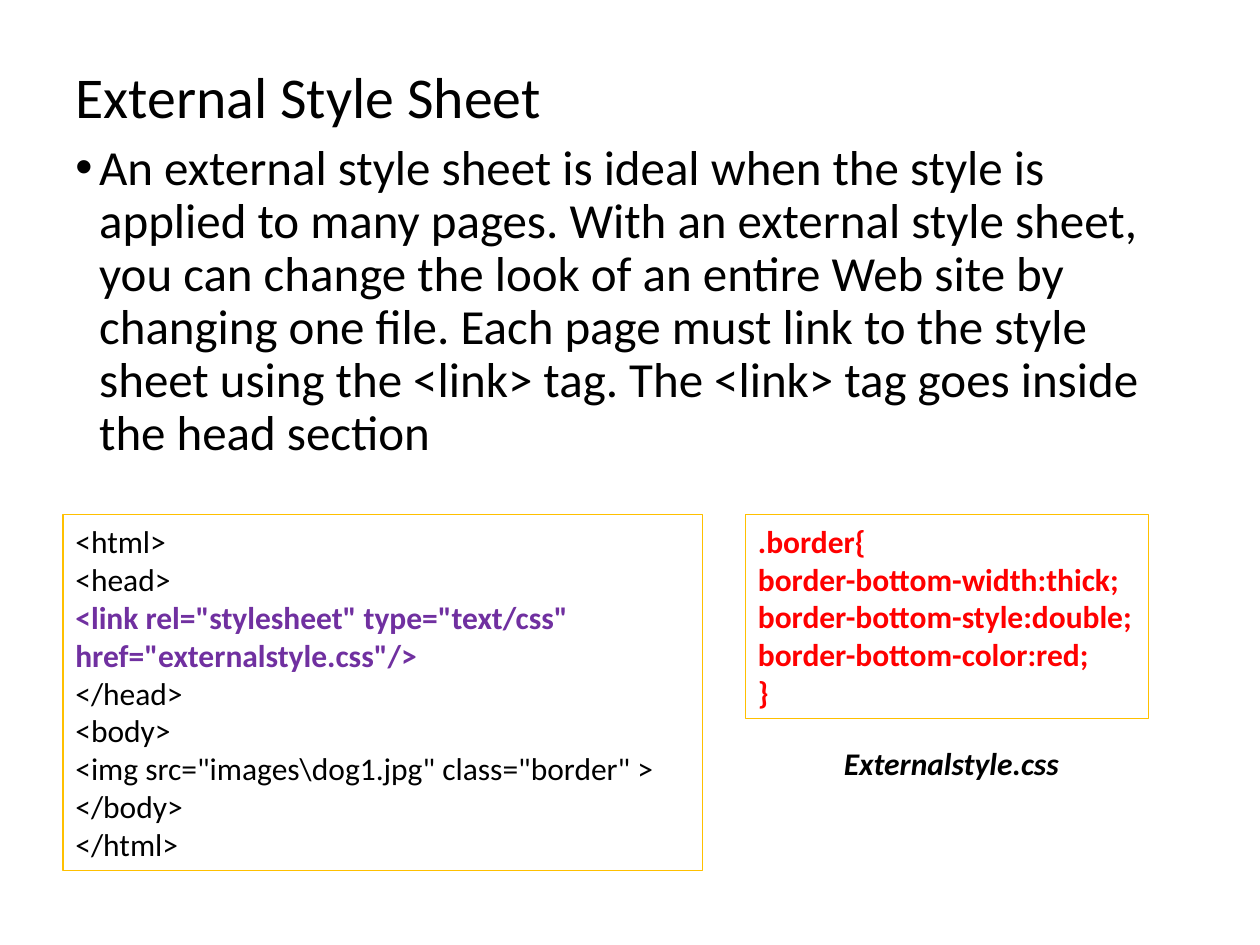
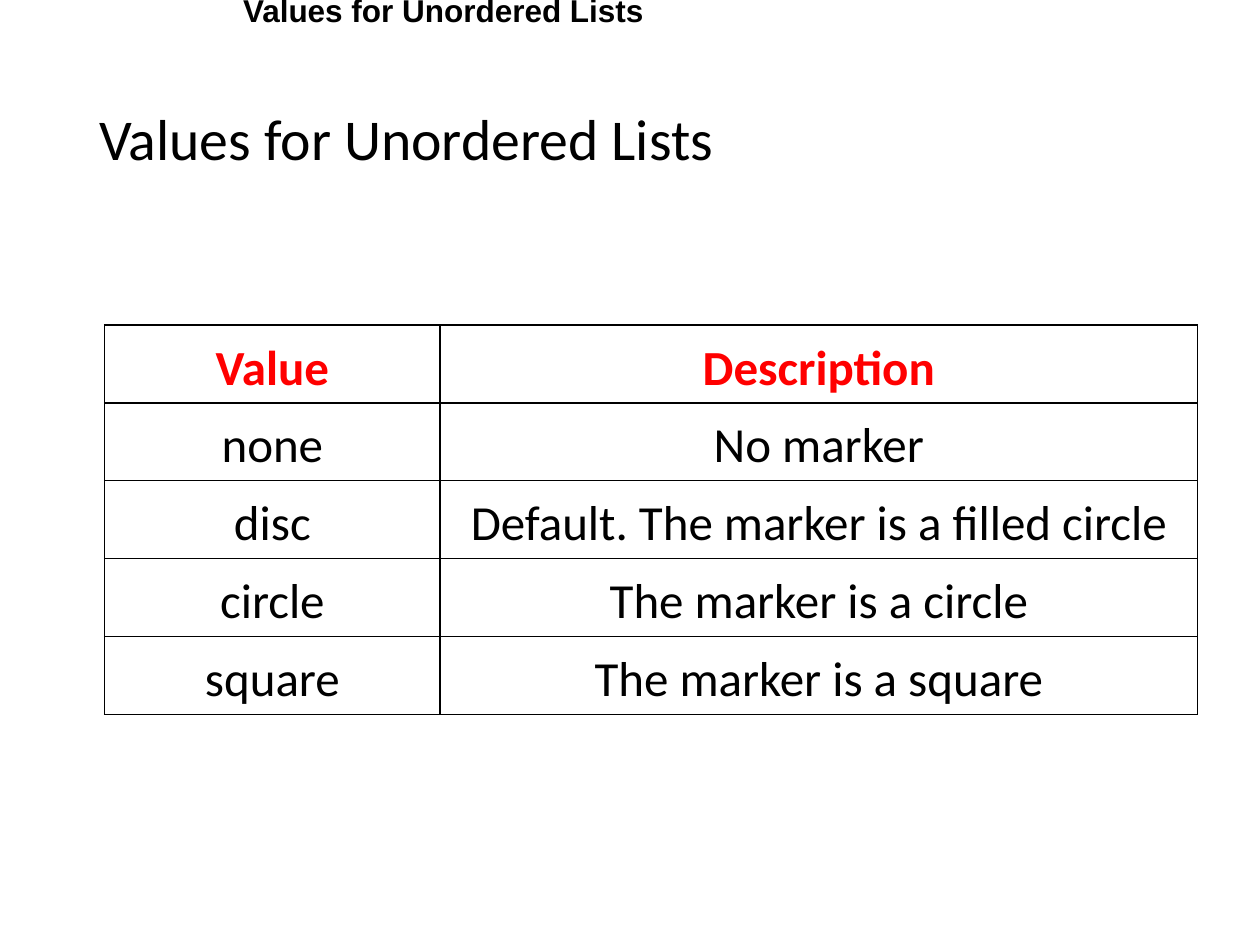
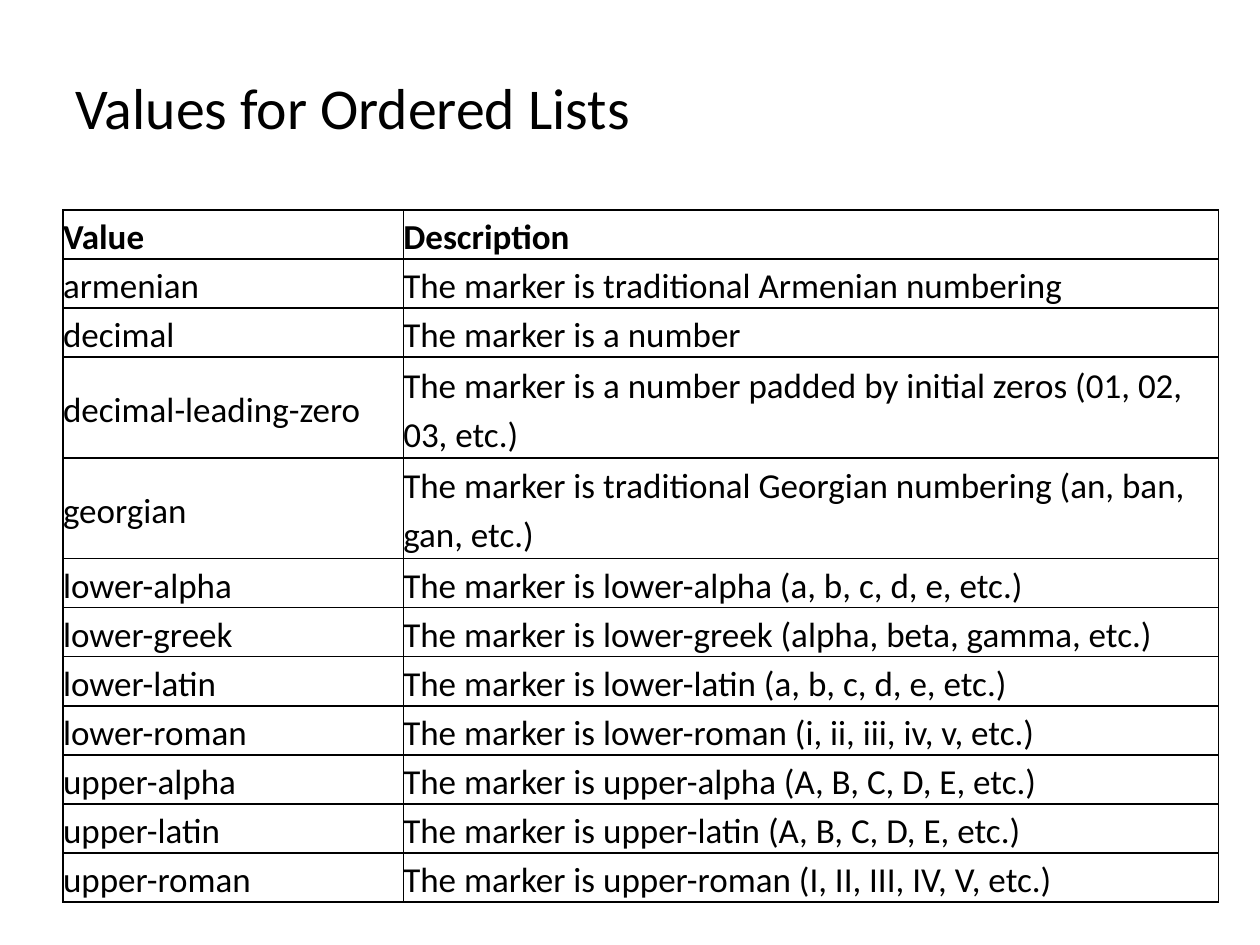
from lxml.etree import SubElement
from pptx import Presentation
from pptx.dml.color import RGBColor
from pptx.enum.shapes import MSO_SHAPE
from pptx.enum.text import MSO_ANCHOR, PP_ALIGN
from pptx.oxml.ns import qn
from pptx.util import Cm, Pt

BLACK, RED, PURPLE, GOLD = "000000", "FF0000", "7030A0", "FFC000"
FONT = "Calibri"

INTRO = (
    "An external style sheet is ideal when the style is applied to many pages. "
    "With an external style sheet, you can change the look of an entire Web site "
    "by changing one file. Each page must link to the style sheet using the "
    "<link> tag. The <link> tag goes inside the head section"
)
LINK = '<link rel="stylesheet" type="text/css" href="externalstyle.css"/>'
HTML = [
    "<html>",
    "<head>",
    LINK,
    "</head>",
    "<body>",
    '<img src="images\\dog1.jpg" class="border" >',
    "</body>",
    "</html>",
]
CSS = [
    ".border{",
    "border-bottom-width:thick;",
    "border-bottom-style:double;",
    "border-bottom-color:red;",
    "}",
]
HEAD = ("Value", "Description")
BULLETS = [
    HEAD,
    ("none", "No marker"),
    ("disc", "Default. The marker is a filled circle"),
    ("circle", "The marker is a circle"),
    ("square", "The marker is a square"),
]
NUMBERS = [
    HEAD,
    ("armenian", "The marker is traditional Armenian numbering"),
    ("decimal", "The marker is a number"),
    ("decimal-leading-zero",
     "The marker is a number padded by initial zeros (01, 02, 03, etc.)"),
    ("georgian",
     "The marker is traditional Georgian numbering (an, ban, gan, etc.)"),
    ("lower-alpha", "The marker is lower-alpha (a, b, c, d, e, etc.)"),
    ("lower-greek", "The marker is lower-greek (alpha, beta, gamma, etc.)"),
    ("lower-latin", "The marker is lower-latin (a, b, c, d, e, etc.)"),
    ("lower-roman", "The marker is lower-roman (i, ii, iii, iv, v, etc.)"),
    ("upper-alpha", "The marker is upper-alpha (A, B, C, D, E, etc.)"),
    ("upper-latin", "The marker is upper-latin (A, B, C, D, E, etc.)"),
    ("upper-roman", "The marker is upper-roman (I, II, III, IV, V, etc.)"),
]


def paint(part, color):
    """Colour a font, or a fill that is already solid."""
    target = part.color if hasattr(part, "color") else part.fore_color
    target.rgb = RGBColor.from_string(color)


def style(para, size, color=BLACK, bold=False, italic=False, face=FONT):
    font = para.font
    font.name, font.size = face, Pt(size)
    font.bold, font.italic = bold, italic
    paint(font, color)


def add_text(slide, box, text, size, anchor=MSO_ANCHOR.TOP, **look):
    """Add a one-paragraph text box and return the paragraph."""
    frame = slide.shapes.add_textbox(*map(Cm, box)).text_frame
    frame.word_wrap = True
    frame.vertical_anchor = anchor
    para = frame.paragraphs[0]
    para.text = text
    style(para, size, **look)
    return para


def add_title(slide, box, text):
    para = add_text(slide, box, text, 33, MSO_ANCHOR.MIDDLE)
    para.line_spacing = 0.9


def add_bullet(slide, box, text):
    para = add_text(slide, box, text, 28)
    para.line_spacing = 0.9
    para.space_before = Pt(7.5)
    props = para._p.get_or_add_pPr()
    props.set("marL", str(Cm(0.48)))
    props.set("indent", str(-Cm(0.48)))
    SubElement(props, qn("a:buFont"), typeface="Arial")
    SubElement(props, qn("a:buChar"), char="•")


def add_code(slide, box, lines, color=BLACK, bold=False, wrap=True):
    """Add a framed listing in which the link tag stands out."""
    shape = slide.shapes.add_shape(MSO_SHAPE.RECTANGLE, *map(Cm, box))
    shape.shadow.inherit = False
    shape.fill.background()
    shape.line.width = Pt(0.75)
    paint(shape.line, GOLD)
    frame = shape.text_frame
    frame.word_wrap = wrap
    frame.text = "\n".join(lines)
    for para in frame.paragraphs:
        para.alignment = PP_ALIGN.LEFT
        if para.text == LINK:
            style(para, 18, PURPLE, True)
        else:
            style(para, 18, color, bold)


def add_border(cell):
    props = cell._tc.get_or_add_tcPr()
    for side in ("lnL", "lnR", "lnT", "lnB"):
        line = SubElement(props, qn(f"a:{side}"), w=str(Pt(1)))
        fill = SubElement(line, qn("a:solidFill"))
        SubElement(fill, qn("a:srgbClr"), val=BLACK)


def add_grid(slide, left, top, rows, widths, heights, size, align, head):
    """Add a ruled table; head is the colour of its first row."""
    table = slide.shapes.add_table(
        len(rows), len(widths), Cm(left), Cm(top),
        Cm(sum(widths)), Cm(sum(heights))).table
    table.first_row = table.horz_banding = False
    for column, width in zip(table.columns, widths):
        column.width = Cm(width)
    for r, (texts, height) in enumerate(zip(rows, heights)):
        table.rows[r].height = Cm(height)
        for c, text in enumerate(texts):
            cell = table.cell(r, c)
            cell.margin_left = cell.margin_right = 0
            cell.margin_top = cell.margin_bottom = 0
            cell.vertical_anchor = MSO_ANCHOR.MIDDLE
            add_border(cell)
            cell.fill.background()
            cell.text = text
            para = cell.text_frame.paragraphs[0]
            para.alignment = align
            para.line_spacing = 1.15
            style(para, size, BLACK if r else head, bold=r == 0)


def draw_sheet(slide):
    add_title(slide, (1.27, 0.43, 22.86, 3.18), "External Style Sheet")
    add_bullet(slide, (1.27, 2.77, 22.86, 11.73), INTRO)
    add_code(slide, (1.27, 10.37, 12.9, 7.18), HTML)
    add_code(slide, (15.03, 10.37, 8.13, 4.11), CSS, RED, True, False)
    add_text(slide, (16.76, 14.87, 4.88, 1.02), "Externalstyle.css", 18,
             bold=True, italic=True)


def draw_bullets(slide):
    name = "Values for Unordered Lists"
    add_title(slide, (1.75, 1.02, 21.9, 3.68), name)
    add_grid(slide, 2.11, 6.55, BULLETS, (6.76, 15.27),
             [1.57] * len(BULLETS), 28, PP_ALIGN.CENTER, RED)
    add_text(slide, (4.65, -0.3, 15.29, 1.02), name, 18, MSO_ANCHOR.MIDDLE,
             bold=True, face="Arial")


def draw_numbers(slide):
    add_title(slide, (1.27, 0.64, 22.86, 3.18), "Values for Ordered Lists")
    heights = [2.03 if len(text) > 60 else 0.99 for _, text in NUMBERS]
    add_grid(slide, 1.27, 4.23, NUMBERS, (6.86, 16.43), heights, 20,
             PP_ALIGN.LEFT, BLACK)


def main():
    deck = Presentation()
    deck.slide_width, deck.slide_height = Cm(25.4), Cm(19.05)
    for draw in (draw_sheet, draw_bullets, draw_numbers):
        draw(deck.slides.add_slide(deck.slide_layouts[6]))
    deck.save("out.pptx")


if __name__ == "__main__":
    main()
